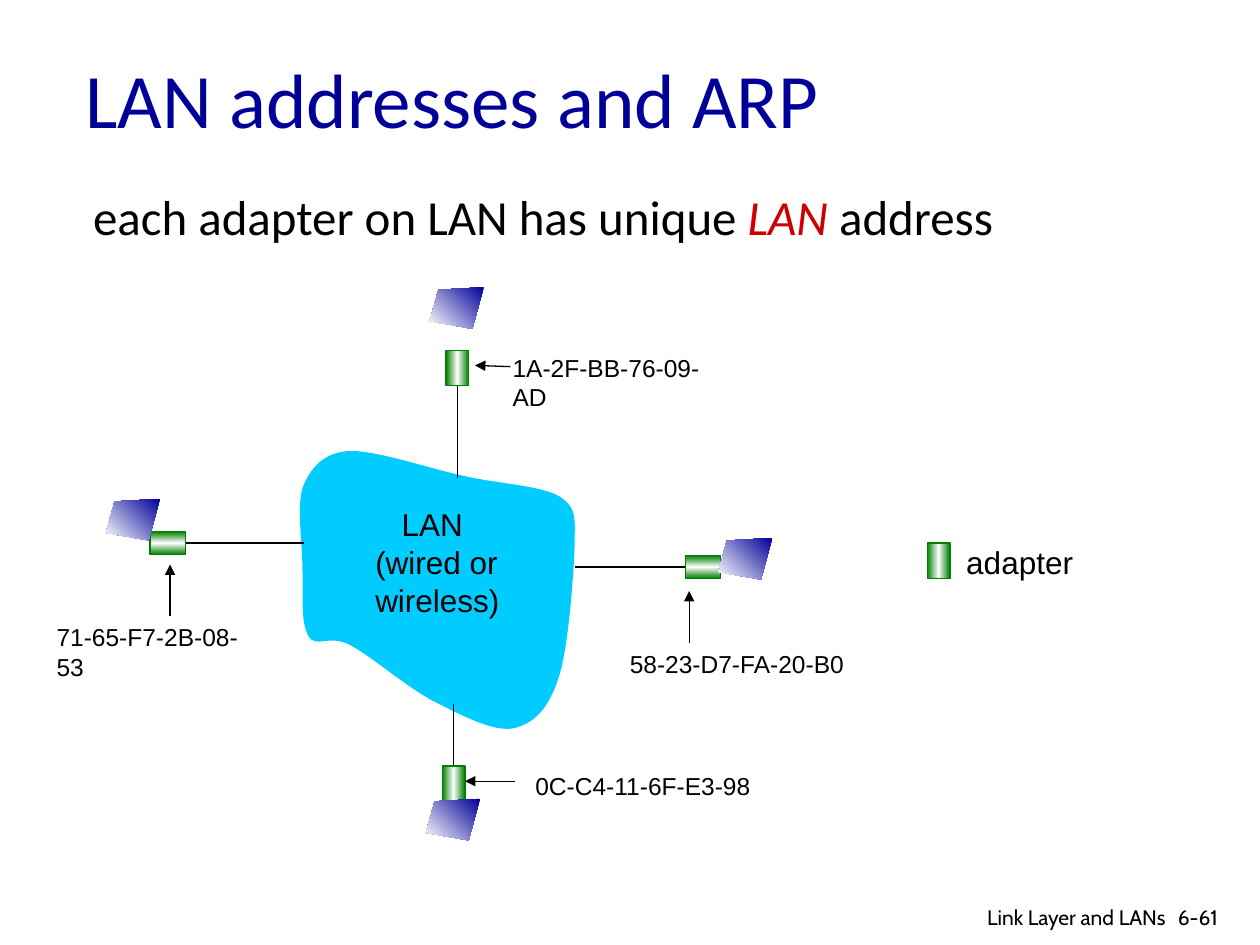
from copy import deepcopy
from dataclasses import dataclass

from pptx import Presentation
from pptx.dml.color import RGBColor
from pptx.enum.shapes import MSO_CONNECTOR, MSO_SHAPE
from pptx.enum.text import MSO_ANCHOR, PP_ALIGN
from pptx.oxml.ns import qn
from pptx.oxml.xmlchemy import OxmlElement
from pptx.util import Pt

SCALE = 9144  # EMU per px, 100 px to the inch
NAVY = RGBColor(0x00, 0x00, 0x99)
BLACK = RGBColor(0x00, 0x00, 0x00)
WHITE = RGBColor(0xFF, 0xFF, 0xFF)
RED = RGBColor(0xCC, 0x00, 0x00)
CYAN = RGBColor(0x00, 0xCC, 0xFF)
GREEN = RGBColor(0x00, 0x80, 0x00)

Point = tuple[int, int]


@dataclass
class Label:
    text: str
    box: tuple[int, int, int, int]
    size: int = 14
    font: str = "Arial"
    color: RGBColor = BLACK
    wrap: bool = False
    align: PP_ALIGN = PP_ALIGN.LEFT
    anchor: MSO_ANCHOR = MSO_ANCHOR.TOP


@dataclass
class Node:
    """A host: its adapter, its screen and the wire to the LAN."""
    card: Point
    turn: int
    screen: Point
    side: int  # connection site on the unturned adapter
    start: Point
    end: Point


@dataclass
class Arrow:
    start: Point
    end: Point


NODES = [
    Node((124, 417), 270, (84, 396), 2, (147, 431), (241, 431)),
    Node((351, 608), 0, (338, 634), 0, (360, 608), (360, 559)),
    Node((354, 278), 0, (341, 228), 2, (363, 306), (363, 379)),
    Node((549, 436), 270, (570, 427), 0, (544, 450), (456, 450)),
]
ARROWS = [
    Arrow((405, 291), (377, 290)),
    Arrow((547, 510), (547, 469)),
    Arrow((409, 620), (369, 620)),
    Arrow((135, 489), (135, 448)),
]
LABELS = [
    Label("LAN addresses and ARP", (58, 15, 850, 125), 44, "Calibri", NAVY,
          True, anchor=MSO_ANCHOR.MIDDLE),
    Label("adapter", (757, 426, 105, 40), 18),
    Label("1A-2F-BB-76-09-AD", (397, 275, 194, 33), wrap=True),
    Label("58-23-D7-FA-20-B0", (490, 510, 190, 33)),
    Label("0C-C4-11-6F-E3-98", (415, 607, 191, 33)),
    Label("71-65-F7-2B-08-53", (35, 489, 185, 33), wrap=True),
    Label("6-61", (925, 713, 60, 30), 12, "Cabin", wrap=True),
    Label("Link Layer and LANs", (697, 713, 238, 26), 12, "Cabin",
          wrap=True, align=PP_ALIGN.RIGHT),
]
# Start point, then two control points and an end point per curve
CLOUD = [
    (277, 358),
    (259, 359), (248, 369), (241, 385),
    (235, 400), (240, 430), (240, 450),
    (241, 470), (238, 494), (245, 505),
    (251, 515), (261, 503), (278, 512),
    (295, 521), (326, 548), (347, 558),
    (369, 569), (392, 581), (408, 578),
    (424, 574), (435, 563), (443, 539),
    (451, 516), (455, 460), (456, 436),
    (456, 412), (459, 404), (444, 394),
    (429, 385), (393, 384), (365, 377),
    (338, 371), (297, 357), (277, 358),
]
SCREEN = [(43, 0), (7, 2), (0, 27), (34, 33)]


def emu(*px: int) -> list[int]:
    return [v * SCALE for v in px]


def add_form(shapes, pts: list[Point]):
    first, *rest = [emu(*p) for p in pts]
    pen = shapes.build_freeform(*first, scale=1.0)
    pen.add_line_segments(rest, close=True)
    form = pen.convert_to_shape()
    form.shadow.inherit = False
    form.line.fill.background()
    return form


def bend(form) -> None:
    """Turn each three segments of an outline into one cubic curve."""
    legs = list(form._element.spPr.iter(qn("a:lnTo")))
    for i in range(0, len(legs), 3):
        curve = OxmlElement("a:cubicBezTo")
        legs[i].addprevious(curve)
        for leg in legs[i:i + 3]:
            curve.append(leg[0])
            leg.getparent().remove(leg)


def shade(shape, colors: list[RGBColor], angle: int) -> None:
    """Fill with an even gradient; the angle runs counter-clockwise."""
    fill = shape.fill
    fill.gradient()
    fill.gradient_angle = angle
    stops = shape._element.spPr.find(qn("a:gradFill")).find(qn("a:gsLst"))
    for _ in colors[2:]:
        stops.append(deepcopy(stops[0]))
    for i, (stop, color) in enumerate(zip(fill.gradient_stops, colors)):
        stop.color.rgb = color
        stop.position = i / (len(colors) - 1)


def add_card(shapes, spot: Point, turn: int = 0):
    card = shapes.add_shape(MSO_SHAPE.RECTANGLE, *emu(*spot, 18, 28))
    card.shadow.inherit = False
    card.rotation = turn
    shade(card, [GREEN, WHITE, GREEN], 0)
    card.line.color.rgb = GREEN
    card.line.width = Pt(0.75)
    return card


def add_line(shapes, start: Point, end: Point):
    line = shapes.add_connector(MSO_CONNECTOR.STRAIGHT, *emu(*start, *end))
    line.line.color.rgb = BLACK
    line.line.width = Pt(0.75)
    line._element.spPr.append(OxmlElement("a:effectLst"))
    return line


def add_arrow(shapes, arrow: Arrow) -> None:
    line = add_line(shapes, arrow.start, arrow.end)
    tip = OxmlElement("a:tailEnd")
    tip.set("type", "triangle")
    line.line._get_or_add_ln().append(tip)


def add_node(shapes, node: Node) -> None:
    wire = add_line(shapes, node.start, node.end)
    host = shapes.add_group_shape().shapes
    card = add_card(host, node.card, node.turn)
    wire.begin_connect(card, node.side)
    # begin_connect ignores the turn of the adapter
    wire.begin_x, wire.begin_y = emu(*node.start)
    left, top = node.screen
    screen = add_form(host, [(left + x, top + y) for x, y in SCREEN])
    shade(screen, [NAVY, WHITE], 225)


def add_label(shapes, label: Label):
    frame = shapes.add_textbox(*emu(*label.box)).text_frame
    frame.word_wrap = label.wrap
    frame.vertical_anchor = label.anchor
    frame.text = label.text
    for para in frame.paragraphs:
        para.alignment = label.align
        para.font.size = Pt(label.size)
        para.font.name = label.font
        para.font.color.rgb = label.color
    return frame


def main() -> None:
    deck = Presentation()
    deck.slide_width, deck.slide_height = emu(1000, 750)
    shapes = deck.slides.add_slide(deck.slide_layouts[6]).shapes

    cloud = add_form(shapes, CLOUD)
    bend(cloud)
    cloud.fill.solid()
    cloud.fill.fore_color.rgb = CYAN
    for node in NODES:
        add_node(shapes, node)
    add_card(shapes, (736, 431))
    for arrow in ARROWS:
        add_arrow(shapes, arrow)
    for label in LABELS:
        add_label(shapes, label)

    lead = add_label(shapes, Label("each adapter on LAN has unique ",
                                   (64, 143, 755, 57), 28, "Calibri"))
    para = lead.paragraphs[0]
    term = para.add_run()
    term.text = "LAN"
    term.font.italic = True
    term.font.color.rgb = RED
    para.add_run().text = " address"

    name = add_label(shapes, Label("LAN\n(wired or\nwireless)",
                                   (288, 396, 119, 100), 18))
    name.paragraphs[0]._p.get_or_add_pPr().set("marL", str(21 * SCALE))
    deck.save("out.pptx")


if __name__ == "__main__":
    main()
